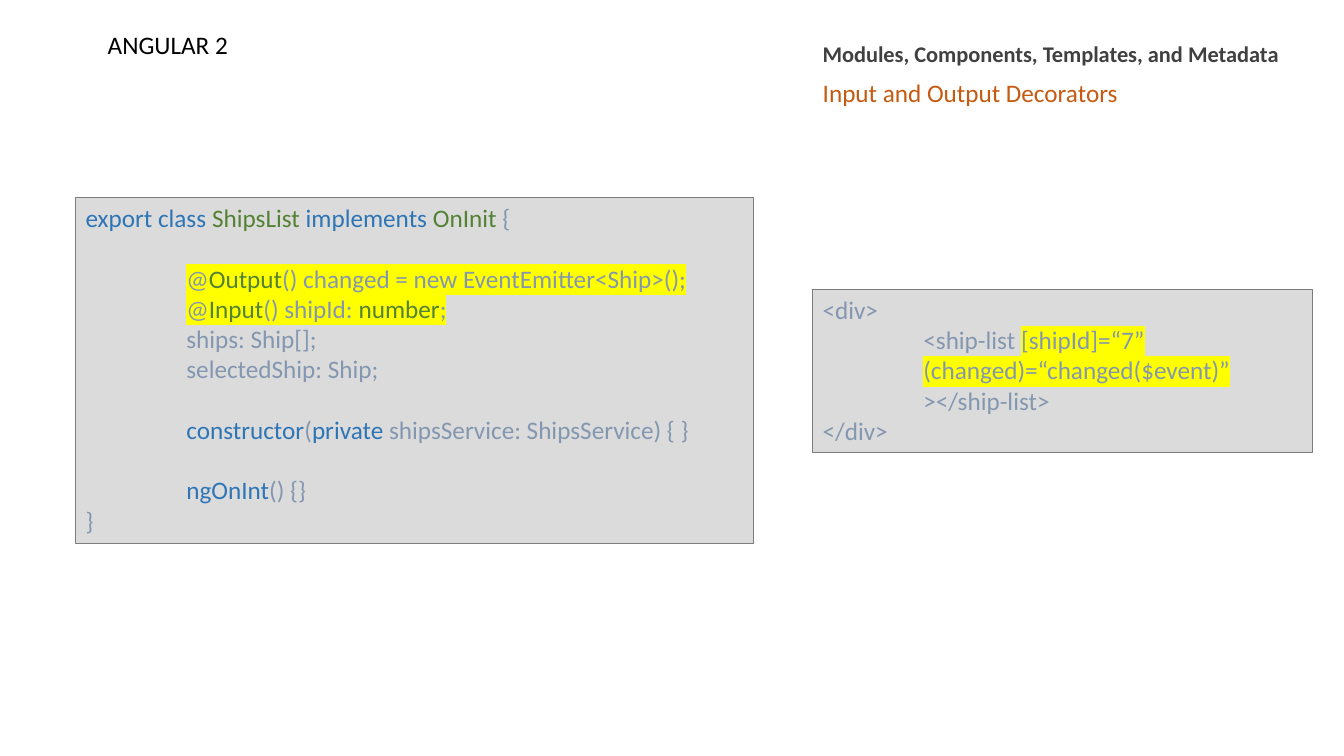
import pptx
import pptx.util
import pptx.dml.color
import pptx.enum.shapes
import pptx.enum.text
import pptx.oxml
import pptx.oxml.ns

Inches, Pt = pptx.util.Inches, pptx.util.Pt
RGBColor = pptx.dml.color.RGBColor
qn = pptx.oxml.ns.qn

BLACK = RGBColor(0x00, 0x00, 0x00)
DARK = RGBColor(0x40, 0x40, 0x40)
ORANGE = RGBColor(0xC5, 0x5A, 0x11)
PANEL = RGBColor(0xDB, 0xDB, 0xDB)
BORDER = RGBColor(0x7C, 0x7C, 0x7C)
KEYWORD = RGBColor(0x2E, 0x75, 0xB6)
TYPE = RGBColor(0x54, 0x82, 0x35)
PLAIN = RGBColor(0x84, 0x97, 0xB0)
MARK = RGBColor(0xFF, 0xFF, 0x00)

FONT = "Calibri"
CODE_SIZE = 18
LINE_HEIGHT = Pt(21.6)
INDENT = Inches(1)

CLASS_CODE = [
    (0, 0, [("export class ", KEYWORD), ("ShipsList ", TYPE),
            ("implements ", KEYWORD), ("OnInit", TYPE), (" {", PLAIN)]),
    (1, 1, [("@", PLAIN, MARK), ("Output", TYPE, MARK),
            ("() changed = new EventEmitter<Ship>();", PLAIN, MARK)]),
    (1, 0, [("@", PLAIN, MARK), ("Input", TYPE, MARK), ("() shipId: ", PLAIN, MARK),
            ("number", TYPE, MARK), (";", PLAIN, MARK)]),
    (1, 0, [("ships: Ship[];", PLAIN)]),
    (1, 0, [("selectedShip: Ship;", PLAIN)]),
    (1, 1, [("constructor", KEYWORD), ("(", PLAIN), ("private ", KEYWORD),
            ("shipsService: ShipsService) { }", PLAIN)]),
    (1, 1, [("ngOnInt", KEYWORD), ("() {}", PLAIN)]),
    (0, 0, [("}", PLAIN)]),
]

TEMPLATE_CODE = [
    (0, 0, [("<div>", PLAIN)]),
    (1, 0, [("<ship-list ", PLAIN), ("[shipId]=“7”", PLAIN, MARK)]),
    (1, 0, [("(changed)=“changed($event)”", PLAIN, MARK)]),
    (1, 0, [("></ship-list>", PLAIN)]),
    (0, 0, [("</div>", PLAIN)]),
]


def style_run(r, size, color, bold=False, mark=None):
    r.font.name = FONT
    r.font.size = Pt(size)
    r.font.bold = bold
    r.font.color.rgb = color
    if mark is not None:
        highlight = pptx.oxml.parse_xml(
            '<a:highlight xmlns:a="http://schemas.openxmlformats.org/drawingml/2006/main">'
            f'<a:srgbClr val="{mark}"/></a:highlight>')
        r.font.fill
        r._r.rPr.find(qn("a:solidFill")).addnext(highlight)


def fill_label(sp, box, text, size, color, bold=False):
    sp.left, sp.top, sp.width, sp.height = (Inches(v) for v in box)
    tf = sp.text_frame
    tf.text = text
    tf.word_wrap = False
    tf.vertical_anchor = pptx.enum.text.MSO_ANCHOR.TOP
    p = tf.paragraphs[0]
    p.alignment = pptx.enum.text.PP_ALIGN.LEFT
    style_run(p.runs[0], size, color, bold)


def add_header(s, left, top):
    fill_label(s.shapes.title, (left, top + 0.37, 3.17, 0.41),
               "Input and Output Decorators", 18, ORANGE)
    fill_label(s.shapes.add_textbox(0, 0, 0, 0), (left, top, 4.77, 0.37),
               "Modules, Components, Templates, and Metadata", 16, DARK, True)


def add_course_name(s, box):
    fill_label(s.shapes.add_textbox(0, 0, 0, 0), box, "ANGULAR 2", 18, BLACK)


def add_code_panel(s, box, lines):
    sp = s.shapes.add_shape(pptx.enum.shapes.MSO_SHAPE.RECTANGLE,
                            *(Inches(v) for v in box))
    sp.shadow.inherit = False
    sp.fill.solid()
    sp.fill.fore_color.rgb = PANEL
    sp.line.color.rgb = BORDER
    sp.line.width = Pt(0.75)
    tf = sp.text_frame
    tf.word_wrap = True
    tf.vertical_anchor = pptx.enum.text.MSO_ANCHOR.TOP
    for i, (level, blank_lines, parts) in enumerate(lines):
        p = tf.paragraphs[0] if i == 0 else tf.add_paragraph()
        p.alignment = pptx.enum.text.PP_ALIGN.LEFT
        p.space_before = blank_lines * LINE_HEIGHT
        p._p.get_or_add_pPr().set("marL", str(level * INDENT))
        for text, color, *mark in parts:
            r = p.add_run()
            r.text = text
            style_run(r, CODE_SIZE, color, mark=mark[0] if mark else None)


def main():
    prs = pptx.Presentation()
    prs.slide_width = Inches(13.33)
    prs.slide_height = Inches(7.5)
    s = prs.slides.add_slide(prs.slide_layouts[5])
    add_course_name(s, (0.97, 0.24, 1.4, 0.4))
    add_header(s, 8.06, 0.35)
    add_code_panel(s, (0.75, 1.96, 6.72, 3.43), CLASS_CODE)
    add_code_panel(s, (8.06, 2.87, 4.96, 1.62), TEMPLATE_CODE)
    prs.save("out.pptx")


if __name__ == "__main__":
    main()
